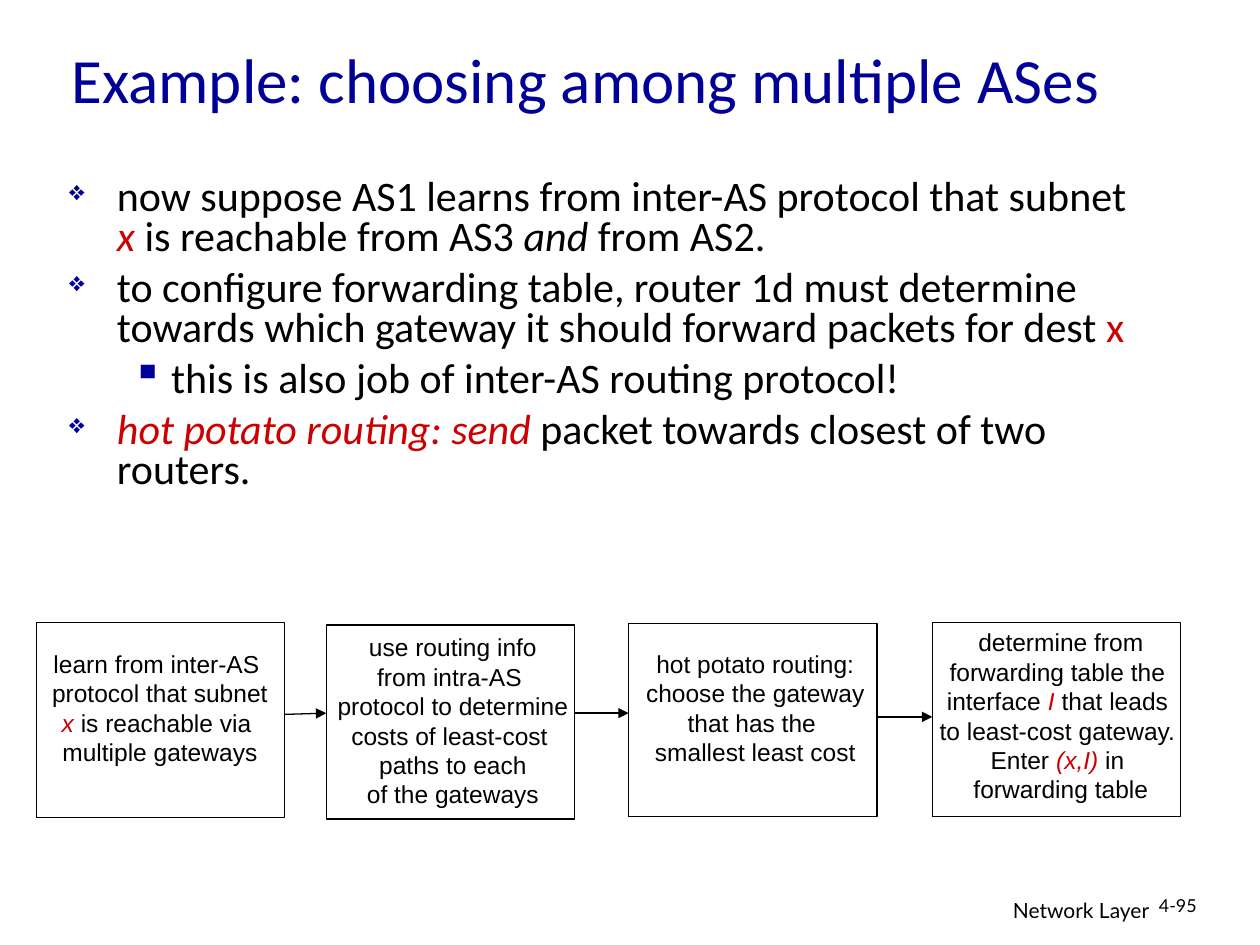
"""Build the slide on choosing among multiple autonomous systems."""
from lxml import etree
from pptx import Presentation, util as u
from pptx.dml.color import RGBColor
from pptx.enum import shapes, text
from pptx.oxml.ns import qn

BLACK, NAVY, RED = "000000", "000099", "CC0000"
STYLES = {"plain": (BLACK, False), "italic": (BLACK, True),
          "red": (RED, False), "term": (RED, True)}
TITLE = "Example: choosing among multiple ASes"
LEVELS = [("❖", 0.38, 0.38, 65), ("▪", 0.81, 0.31, 100)]
BULLETS = [
    (0, ["now suppose AS1 learns from inter-AS protocol that subnet ", ("x ", "term"),
         "is reachable from AS3 ", ("and", "italic"), " from AS2."]),
    (0, ["to configure forwarding table, router 1d must determine towards which "
         "gateway it should forward packets for dest ", ("x", "red")]),
    (1, ["this is also job of inter-AS routing protocol!"]),
    (0, [("hot potato routing: send", "term"), " packet towards closest of two routers."]),
]
BOX_W = 1.97
STEPS = [
    {"box": (0.29, 4.94, BOX_W, 1.55), "label": (0.29, 5.1, 1.96, 1.04), "lines": [
        ["learn from inter-AS "], ["protocol that subnet "],
        [("x ", "term"), "is reachable via "], ["multiple gateways"]]},
    {"box": (2.59, 4.96, BOX_W, 1.54), "label": (2.44, 4.97, 2.31, 1.5), "lines": [
        ["use routing info"], ["from intra-AS "], ["protocol to determine"],
        ["costs of least-cost "], ["paths to each"], ["of the gateways"]]},
    {"box": (4.99, 4.95, BOX_W, 1.53), "label": (5.01, 5.1, 1.97, 1.04), "lines": [
        ["hot potato routing:"], ["choose the gateway"], ["that has the "],
        ["smallest least cost"]]},
    {"box": (7.4, 4.94, BOX_W, 1.54), "label": (7.35, 4.93, 2.14, 1.5), "lines": [
        ["determine from"], ["forwarding table the "],
        ["interface", (" I ", "term"), "that leads "], ["to least-cost gateway. "],
        ["Enter ", ("(x,I) ", "term"), "in "], ["forwarding table"]]},
]
ARROW_Y = [(5.67, 5.66), (5.66, 5.66), (5.69, 5.69)]


def rgb(color):
    """Turn a hex string into a colour."""
    return RGBColor.from_string(color)


def inches(*values):
    """Convert numbers to inch lengths."""
    return [u.Inches(v) for v in values]


def child(parent, tag, **attrs):
    """Append a drawing element to a parent."""
    return etree.SubElement(parent, qn(tag), attrs)


def add_text(s, at, paragraphs, font, size, align=None, wrap=True, color=None):
    """Add a text box of styled paragraphs and return its frame."""
    tf = s.shapes.add_textbox(*inches(*at)).text_frame
    tf.word_wrap = wrap
    for i, parts in enumerate(paragraphs):
        p = tf.paragraphs[0] if i == 0 else tf.add_paragraph()
        p.alignment = align
        for part in parts:
            words, style = (part, "plain") if isinstance(part, str) else part
            tone, italic = STYLES[style]
            r = p.add_run()
            r.text = words
            r.font.name, r.font.size, r.font.italic = font, u.Pt(size), italic
            r.font.color.rgb = rgb(color or tone)
    return tf


def add_bullet(p, level):
    """Give a paragraph the bullet, indent and spacing of its level."""
    char, left, hang, size = LEVELS[level]
    p.level, p.line_spacing, p.space_before = level, 0.8, u.Pt(6)
    pPr = p._p.get_or_add_pPr()
    pPr.set("marL", str(u.Inches(left)))
    pPr.set("indent", str(-u.Inches(hang)))
    child(child(pPr, "a:buClr"), "a:srgbClr", val=NAVY)
    child(pPr, "a:buSzPct", val=str(size * 1000))
    child(pPr, "a:buChar", char=char)


def add_step(s, step):
    """Draw one outlined box with its centred label."""
    sp = s.shapes.add_shape(shapes.MSO_SHAPE.RECTANGLE, *inches(*step["box"]))
    sp.shadow.inherit = False
    sp.fill.background()
    sp.line.color.rgb, sp.line.width = rgb(BLACK), u.Pt(0.75)
    add_text(s, step["label"], step["lines"], "Arial", 14,
             text.PP_ALIGN.CENTER, wrap=False)


def add_arrow(s, x1, y1, x2, y2):
    """Draw a thin arrow between two points."""
    c = s.shapes.add_connector(shapes.MSO_CONNECTOR.STRAIGHT, *inches(x1, y1, x2, y2))
    c.line.color.rgb, c.line.width = rgb(BLACK), u.Pt(0.75)
    child(c.line._get_or_add_ln(), "a:tailEnd", type="triangle")
    child(c._element.spPr, "a:effectLst")


def main():
    """Lay out the slide and save it."""
    prs = Presentation()
    prs.slide_width, prs.slide_height = inches(10, 7.5)
    s = prs.slides.add_slide(prs.slide_layouts[6])

    add_text(s, (6.05, 7.07, 3.17, 0.31), [["Network Layer"]], "Lato", 12,
             text.PP_ALIGN.RIGHT)
    page = add_text(s, (9.1, 7.07, 0.74, 0.3), [["4-95"]], "Lato", 10.2)
    page.paragraphs[0].line_spacing = 0.9

    for step in STEPS:
        add_step(s, step)
    for a, b, (y1, y2) in zip(STEPS, STEPS[1:], ARROW_Y):
        add_arrow(s, a["box"][0] + BOX_W, y1, b["box"][0], y2)

    title = add_text(s, (0.47, 0, 9.59, 1.25), [[TITLE]], "Calibri", 36, color=NAVY)
    title.vertical_anchor = text.MSO_ANCHOR.MIDDLE
    body = add_text(s, (0.45, 1.37, 8.74, 3.01), [parts for _, parts in BULLETS],
                    "Calibri", 24)
    for p, (level, _) in zip(body.paragraphs, BULLETS):
        add_bullet(p, level)
    prs.save("out.pptx")


if __name__ == "__main__":
    main()
